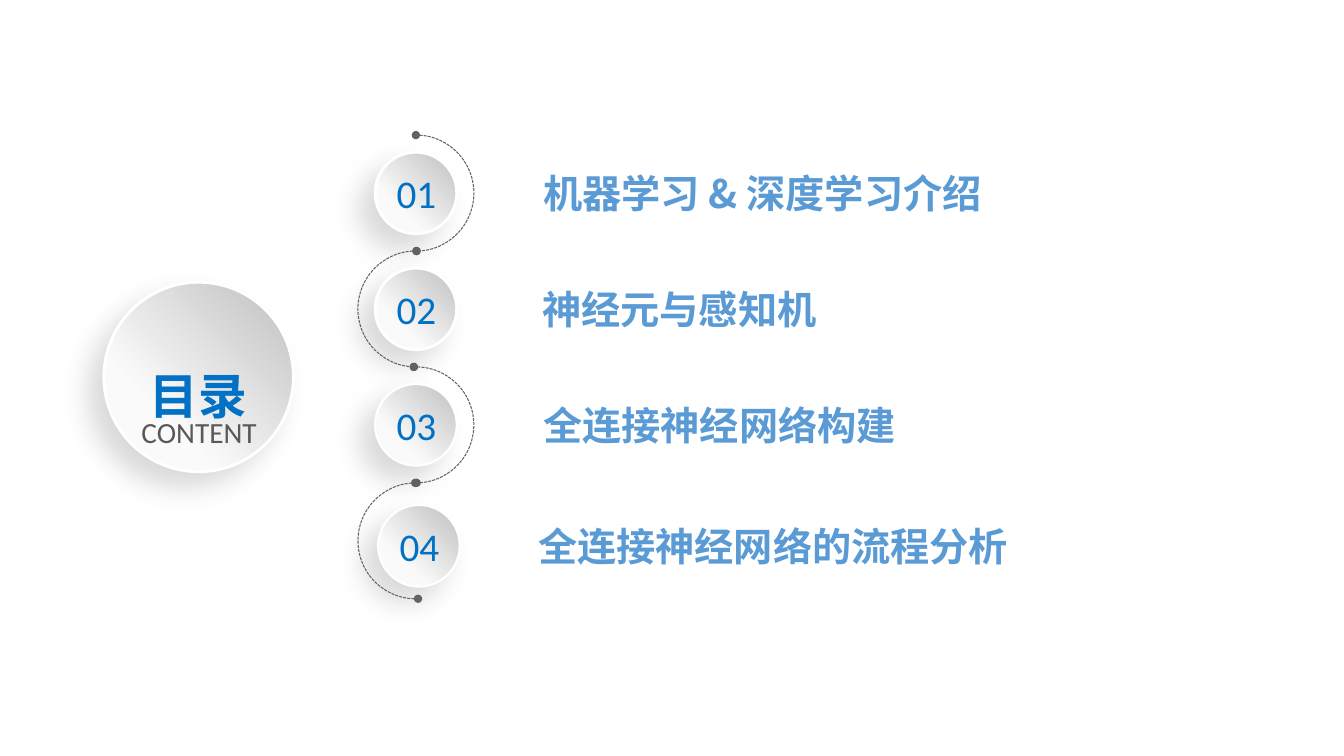
from dataclasses import dataclass

from lxml.etree import SubElement
from pptx import Presentation
from pptx.dml.color import RGBColor
from pptx.enum.dml import MSO_LINE
from pptx.enum.shapes import MSO_SHAPE
from pptx.enum.text import MSO_ANCHOR, MSO_AUTO_SIZE as AutoSize, PP_ALIGN
from pptx.oxml.ns import qn
from pptx.shapes.autoshape import Shape
from pptx.slide import Slide
from pptx.util import Inches, Pt

WHITE = RGBColor(0xFF, 0xFF, 0xFF)
SILVER = RGBColor(0xBF, 0xBF, 0xBF)
PALE = RGBColor(0xFA, 0xFA, 0xFA)
BLUE = RGBColor(0x00, 0x71, 0xC4)
SKY = RGBColor(0x5B, 0x9B, 0xD5)
GREY = RGBColor(0x59, 0x59, 0x59)
TRACK_GREY = RGBColor(0x62, 0x62, 0x62)
LATIN_FONT = "Calibri"
CJK_FONT = "Noto Sans CJK SC"

ROW_PITCH = 1.15
TRACK_LEFT, TRACK_TOP = 3.55, 1.34
BADGE_SIZE = 0.81
LABEL_HEIGHT = 0.57


@dataclass(frozen=True)
class Chapter:
    title: str
    title_left: float
    title_width: float
    badge_left: float
    badge_top: float
    rim: float
    arc_start: float
    arc_end: float
    flipped: bool = False
    rotation: float = 0


@dataclass(frozen=True)
class Label:
    text: str
    left: float
    top: float
    width: float
    height: float
    size: float
    color: RGBColor
    font: str = LATIN_FONT
    bold: bool = False
    centered: bool = True
    raised: bool = False


CHAPTERS = [
    Chapter("机器学习 & 深度学习介绍", 5.29, 5.79, 3.72, 1.51, 2, 162, 53.57),
    Chapter("神经元与感知机", 5.28, 4.21, 3.72, 2.66, 2, 161.69, 52.82, flipped=True),
    Chapter("全连接神经网络构建", 5.29, 4.75, 3.72, 3.81, 1.5, 160.73, 53.57),
    Chapter("全连接神经网络的流程分析", 5.24, 7.14, 3.75, 5.01, 1.5, 160.73, 53.57, rotation=180),
]
HEADINGS = [
    Label("目录", 1.31, 3.13, 1.32, 0.99, 60, BLUE, bold=True, raised=True),
    Label("CONTENT", 1.06, 3.79, 1.83, 0.63, 36, GREY, raised=True),
]


def add_soft_shadow(shape: Shape) -> None:
    shape.shadow.inherit = False
    effects = shape._element.spPr.find(qn("a:effectLst"))
    shadow = SubElement(
        effects, qn("a:outerShdw"), blurRad=str(Pt(20)), dist=str(Pt(15)),
        dir=str(135 * 60000), algn="tr", rotWithShape="0",
    )
    tint = SubElement(shadow, qn("a:srgbClr"), val="000000")
    SubElement(tint, qn("a:alpha"), val="15000")


def add_disc(slide: Slide, left: float, top: float, size: float, rim: float) -> None:
    disc = slide.shapes.add_shape(
        MSO_SHAPE.OVAL, Inches(left), Inches(top), Inches(size), Inches(size))
    disc.fill.gradient()
    disc.fill.gradient_angle = 225
    for stop, (position, color) in zip(disc.fill.gradient_stops, [(0, SILVER), (0.7, PALE)]):
        stop.position = position
        stop.color.rgb = color
    disc.line.color.rgb = WHITE
    disc.line.width = Pt(rim)
    add_soft_shadow(disc)


def add_track(slide: Slide, row: int, chapter: Chapter) -> None:
    track = slide.shapes.add_shape(
        MSO_SHAPE.ARC, Inches(TRACK_LEFT), Inches(TRACK_TOP + row * ROW_PITCH),
        Inches(ROW_PITCH), Inches(ROW_PITCH))
    track.adjustments[0] = chapter.arc_start
    track.adjustments[1] = chapter.arc_end
    track.rotation = chapter.rotation
    if chapter.flipped:
        track._element.spPr.xfrm.set("flipH", "1")
    track.fill.background()
    track.shadow.inherit = False
    track.line.color.rgb = TRACK_GREY
    track.line.width = Pt(0.75)
    track.line.dash_style = MSO_LINE.SQUARE_DOT
    outline = track._element.spPr.find(qn("a:ln"))
    for end in ("a:headEnd", "a:tailEnd"):
        SubElement(outline, qn(end), type="oval")


def add_label(slide: Slide, label: Label) -> None:
    box = slide.shapes.add_textbox(
        Inches(label.left), Inches(label.top), Inches(label.width), Inches(label.height))
    frame = box.text_frame
    frame.word_wrap = not label.centered
    frame.auto_size = AutoSize.SHAPE_TO_FIT_TEXT
    paragraph = frame.paragraphs[0]
    if label.centered:
        frame.vertical_anchor = MSO_ANCHOR.MIDDLE
        paragraph.alignment = PP_ALIGN.CENTER
    run = paragraph.add_run()
    run.text = label.text
    run.font.size = Pt(label.size)
    run.font.bold = label.bold
    run.font.color.rgb = label.color
    run.font.name = label.font
    properties = run.font._element
    SubElement(properties, qn("a:ea"), typeface=CJK_FONT)
    if label.raised:
        paragraph.line_spacing = 1.5
        properties.set("baseline", "12000")


def main() -> None:
    deck = Presentation()
    deck.slide_width, deck.slide_height = Inches(13.33), Inches(7.5)
    slide = deck.slides.add_slide(deck.slide_layouts[6])

    add_disc(slide, 1.03, 2.8, 1.88, 2)
    for row, chapter in enumerate(CHAPTERS):
        label_top = chapter.badge_top + (BADGE_SIZE - LABEL_HEIGHT) / 2
        add_disc(slide, chapter.badge_left, chapter.badge_top, BADGE_SIZE, chapter.rim)
        add_label(slide, Label(
            f"{row + 1:02}", chapter.badge_left + 0.09, label_top, 0.64, LABEL_HEIGHT, 28, BLUE))
        add_label(slide, Label(
            chapter.title, chapter.title_left, label_top, chapter.title_width, LABEL_HEIGHT,
            28, SKY, font=CJK_FONT, bold=True, centered=False))
    for row, chapter in enumerate(CHAPTERS):
        add_track(slide, row, chapter)
    for heading in HEADINGS:
        add_label(slide, heading)

    deck.save("out.pptx")


if __name__ == "__main__":
    main()
